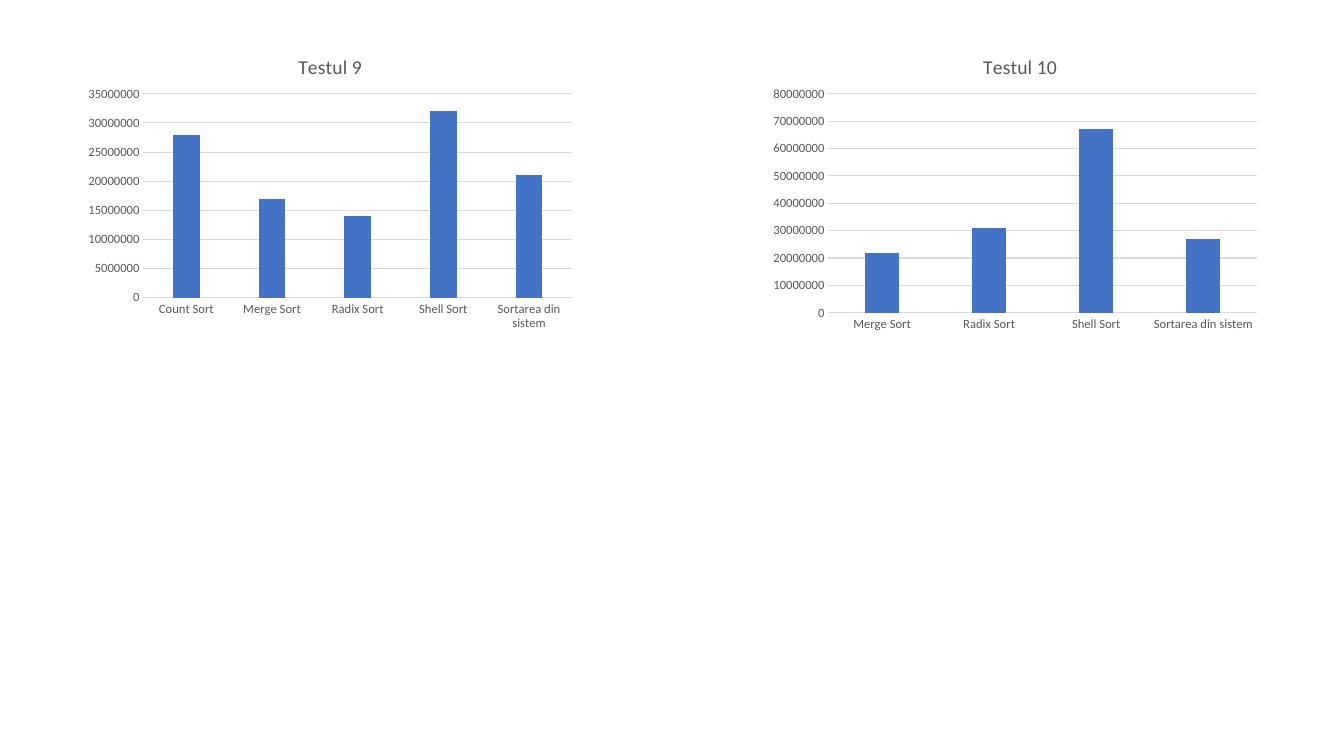
from pptx import Presentation
from pptx.chart.data import CategoryChartData
from pptx.dml.color import RGBColor
from pptx.enum.chart import XL_CHART_TYPE, XL_TICK_MARK
from pptx.oxml import parse_xml
from pptx.oxml.ns import nsdecls, qn
from pptx.util import Pt

PX = 914400 / 100.8
FONT = "Calibri"
COLORS = {"bar": "4472C4", "text": "595959", "grid": "D9D9D9", "base": "000000"}
CHART_TOP, CHART_WIDTH, CHART_HEIGHT = 35, 504, 302


def px(length):
    return round(length * PX)


def set_layout(element, index, target, **fractions):
    """Place a chart part by fractions of the chart's width and height."""
    for old_layout in element.findall(qn("c:layout")):
        element.remove(old_layout)
    inner = '<c:layoutTarget val="inner"/>' if target == "inner" else ""
    modes = '<c:xMode val="edge"/><c:yMode val="edge"/>'
    values = "".join(f'<c:{key} val="{value}"/>' for key, value in fractions.items())
    element.insert(index, parse_xml(
        f'<c:layout {nsdecls("c")}><c:manualLayout>{inner}{modes}{values}'
        "</c:manualLayout></c:layout>"))


# title, left, plot height, axis maximum, axis step, values by sort
tests = [
    ("Testul 9", 78, 204, 35000000, 5000000, {
        "Count Sort": 28000000, "Merge Sort": 17000000, "Radix Sort": 14000000,
        "Shell Sort": 32000000, "Sortarea din sistem": 21000000}),
    ("Testul 10", 763, 219, 80000000, 10000000, {
        "Merge Sort": 22000000, "Radix Sort": 31000000,
        "Shell Sort": 67000000, "Sortarea din sistem": 27000000}),
]

presentation = Presentation()
presentation.slide_width, presentation.slide_height = px(1344), px(756)
slide = presentation.slides.add_slide(presentation.slide_layouts[6])

for title, left, plot_height, maximum, step, times in tests:
    chart_data = CategoryChartData(number_format="General")
    chart_data.categories = list(times)
    chart_data.add_series("Series 1", list(times.values()))
    chart = slide.shapes.add_chart(
        XL_CHART_TYPE.COLUMN_CLUSTERED, px(left), px(CHART_TOP),
        px(CHART_WIDTH), px(CHART_HEIGHT), chart_data).chart
    chart.has_legend = False
    chart.font.name, chart.font.size = FONT, Pt(10)
    chart.font.color.rgb = RGBColor.from_string(COLORS["base"])

    chart.has_title = True
    run = chart.chart_title.text_frame.paragraphs[0].add_run()
    run.text = title
    run.font.name, run.font.size, run.font.bold = FONT, Pt(14), False
    run.font.color.rgb = RGBColor.from_string(COLORS["text"])
    set_layout(chart.chart_title._element, 1, "outer", x=0.43, y=0.05)

    plot = chart.plots[0]
    plot.gap_width, plot.overlap, plot.vary_by_categories = 219, -27, False
    bar_fill = plot.series[0].format.fill
    bar_fill.solid()
    bar_fill.fore_color.rgb = RGBColor.from_string(COLORS["bar"])
    set_layout(chart._chartSpace.chart.plotArea, 0, "inner", x=0.13, y=0.195,
               w=0.85, h=round(plot_height / CHART_HEIGHT, 3))

    category_axis, value_axis = chart.category_axis, chart.value_axis
    for axis in (category_axis, value_axis):
        axis.major_tick_mark = axis.minor_tick_mark = XL_TICK_MARK.NONE
        axis_font = axis.tick_labels.font
        axis_font.name, axis_font.size = FONT, Pt(9)
        axis_font.color.rgb = RGBColor.from_string(COLORS["text"])
    value_axis.minimum_scale, value_axis.maximum_scale = 0, maximum
    value_axis.major_unit = step
    value_axis.has_major_gridlines = True
    value_axis.format.line.fill.background()
    for line in (category_axis.format.line, value_axis.major_gridlines.format.line):
        line.width = Pt(0.75)
        line.color.rgb = RGBColor.from_string(COLORS["grid"])

presentation.save("out.pptx")
